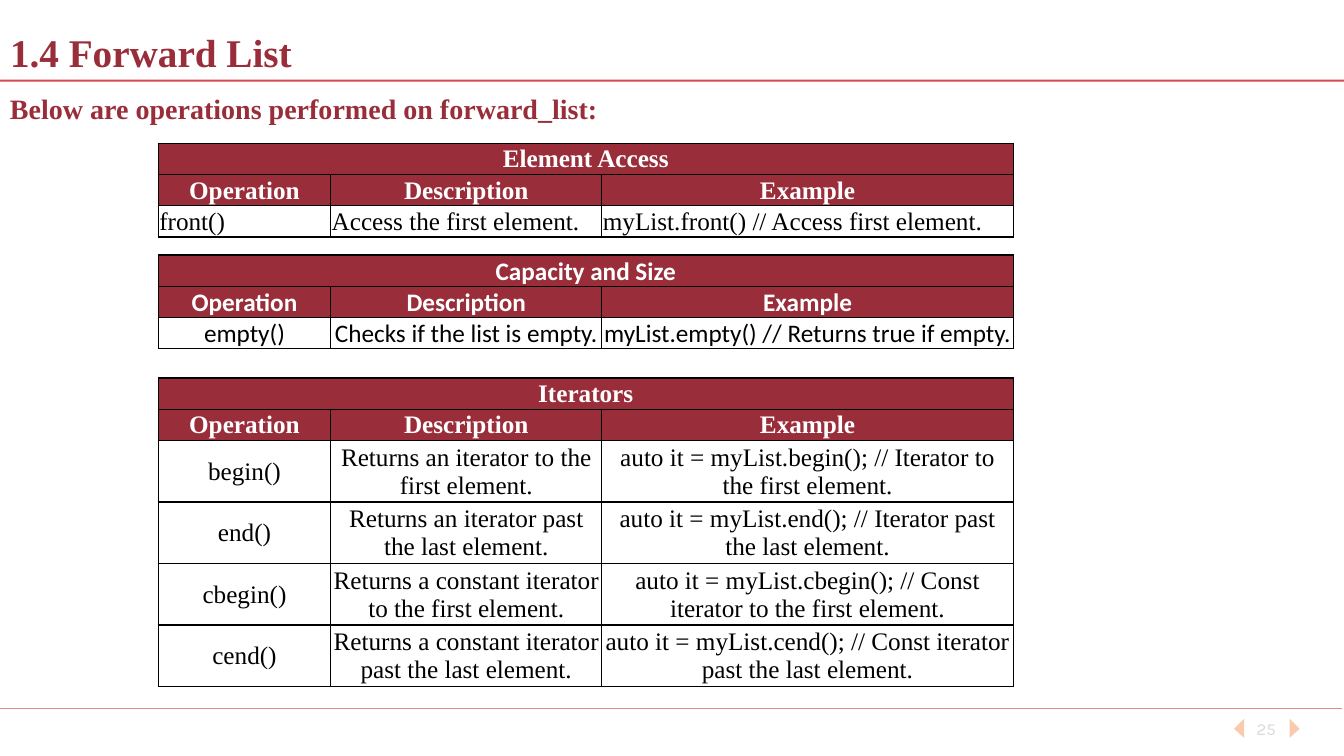
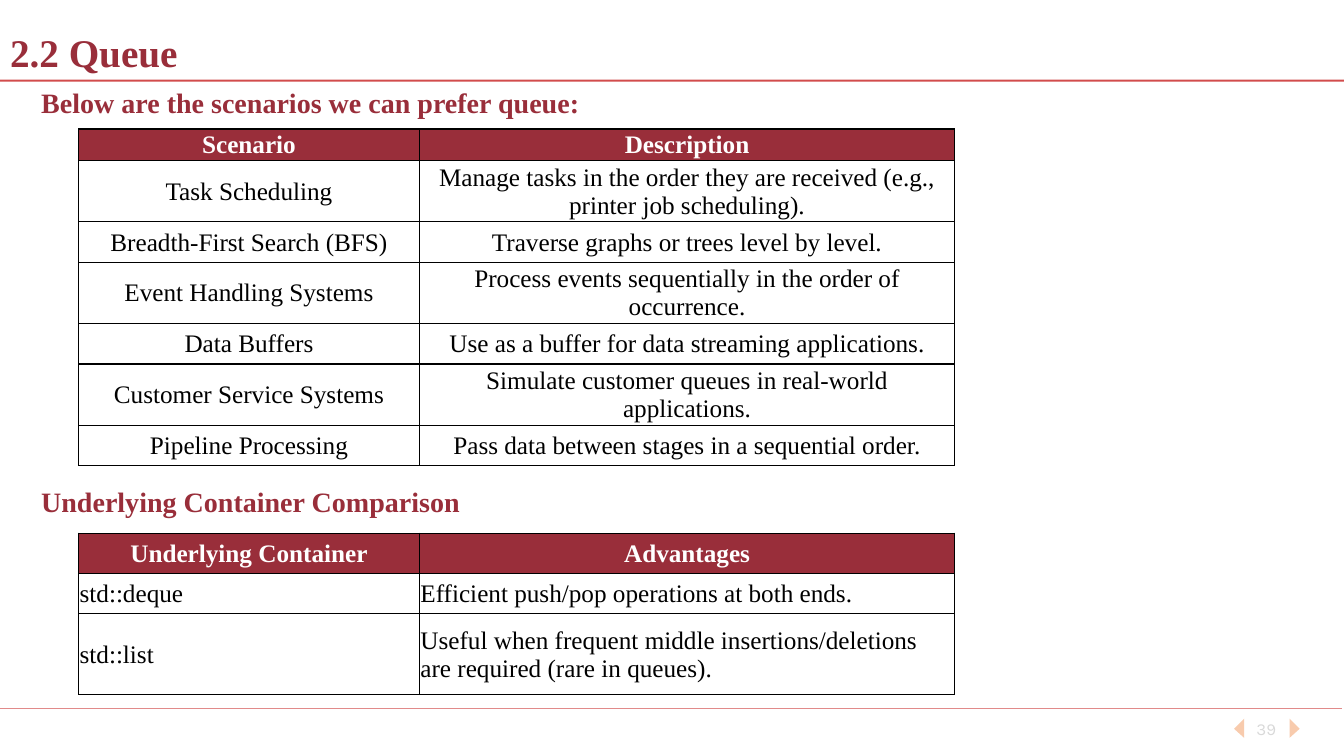
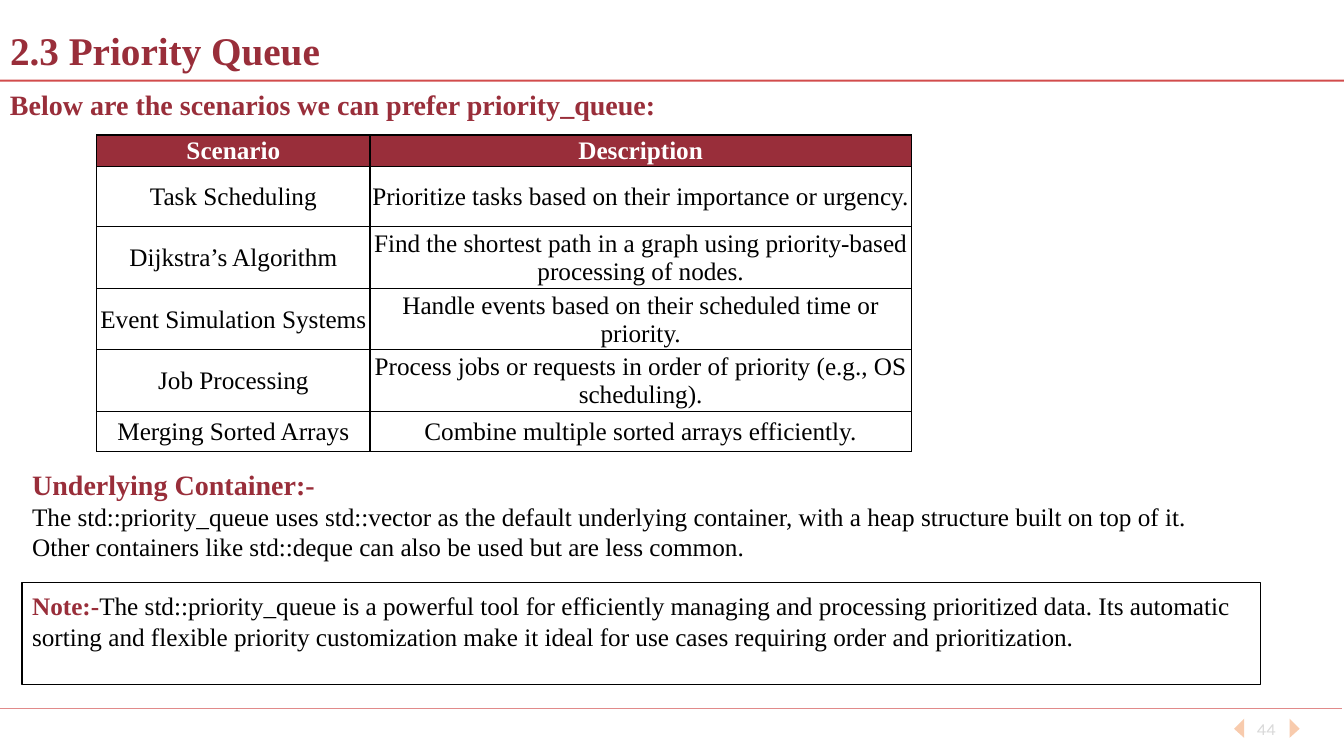
"""Build three slides on forward lists, queues and priority queues."""
from lxml.etree import SubElement
from pptx import Presentation
from pptx.dml.color import RGBColor
from pptx.enum.shapes import MSO_CONNECTOR, MSO_SHAPE
from pptx.enum.text import MSO_ANCHOR, MSO_AUTO_SIZE, PP_ALIGN
from pptx.oxml import parse_xml
from pptx.oxml.ns import nsdecls, qn
from pptx.util import Inches, Pt

COLORS = {
    "brand": "992E3A",
    "rule": "C00000",
    "arrow": "F8CBAD",
    "number": "D9D9D9",
    "text": "000000",
    "white": "FFFFFF",
}
SERIF = "Times New Roman"
OPERATION_HEADER = ["Operation", "Description", "Example"]
OPERATION_COLUMNS = [1.71, 2.69, 4.08]
QUEUE_COLUMNS = [3.38, 5.31]
RULES = [(0.8, 13.33, 1.5), (7.03, 13.31, 0.5)]
ARROWS = [(12.34, 12.24), (12.79, 12.89)]

SLIDES = [
    {
        "title": "1.4 Forward List",
        "title_top": 0.22,
        "number": "25",
        "headings": [(0, 0.86, "Below are operations performed on forward_list:")],
        "tables": [
            {
                "at": (1.57, 1.42),
                "columns": OPERATION_COLUMNS,
                "heights": [0.31] * 3,
                "caption": "Element Access",
                "align": PP_ALIGN.LEFT,
                "rows": [
                    OPERATION_HEADER,
                    ["front()", "Access the first element.",
                     "myList.front() // Access first element."],
                ],
            },
            {
                "at": (1.57, 2.53),
                "columns": OPERATION_COLUMNS,
                "heights": [0.31] * 3,
                "caption": "Capacity and Size",
                "font": "Calibri",
                "rows": [
                    OPERATION_HEADER,
                    ["empty()", "Checks if the list is empty.",
                     "myList.empty() // Returns true if empty."],
                ],
            },
            {
                "at": (1.57, 3.75),
                "columns": OPERATION_COLUMNS,
                "heights": [0.31] * 2 + [0.61] * 4,
                "caption": "Iterators",
                "rows": [
                    OPERATION_HEADER,
                    ["begin()", "Returns an iterator to the first element.",
                     "auto it = myList.begin(); // Iterator to the first element."],
                    ["end()", "Returns an iterator past the last element.",
                     "auto it = myList.end(); // Iterator past the last element."],
                    ["cbegin()", "Returns a constant iterator to the first element.",
                     "auto it = myList.cbegin(); // Const iterator to the first element."],
                    ["cend()", "Returns a constant iterator past the last element.",
                     "auto it = myList.cend(); // Const iterator past the last element."],
                ],
            },
        ],
    },
    {
        "title": "2.2 Queue",
        "title_top": 0.22,
        "number": "39",
        "headings": [
            (0.31, 0.8, "Below are the scenarios we can prefer queue:"),
            (0.31, 4.76, "Underlying Container Comparison"),
        ],
        "tables": [
            {
                "at": (0.78, 1.28),
                "columns": QUEUE_COLUMNS,
                "heights": [0.31] + [0.61, 0.4] * 3,
                "rows": [
                    ["Scenario", "Description"],
                    ["Task Scheduling",
                     "Manage tasks in the order they are received (e.g., printer job scheduling)."],
                    ["Breadth-First Search (BFS)", "Traverse graphs or trees level by level."],
                    ["Event Handling Systems",
                     "Process events sequentially in the order of occurrence."],
                    ["Data Buffers", "Use as a buffer for data streaming applications."],
                    ["Customer Service Systems",
                     "Simulate customer queues in real-world applications."],
                    ["Pipeline Processing", "Pass data between stages in a sequential order."],
                ],
            },
            {
                "at": (0.78, 5.29),
                "columns": QUEUE_COLUMNS,
                "heights": [0.4, 0.4, 0.8],
                "align": PP_ALIGN.LEFT,
                "rows": [
                    ["Underlying Container", "Advantages"],
                    ["std::deque", "Efficient push/pop operations at both ends."],
                    ["std::list",
                     "Useful when frequent middle insertions/deletions are required (rare in queues)."],
                ],
            },
        ],
    },
    {
        "title": "2.3 Priority Queue",
        "title_top": 0.2,
        "number": "44",
        "headings": [(0, 0.82, "Below are the scenarios we can prefer priority_queue:")],
        "tables": [
            {
                "at": (0.96, 1.34),
                "columns": [2.71, 5.37],
                "heights": [0.29] + [0.6] * 4 + [0.4],
                "rows": [
                    ["Scenario", "Description"],
                    ["Task Scheduling", "Prioritize tasks based on their importance or urgency."],
                    ["Dijkstra’s Algorithm",
                     "Find the shortest path in a graph using priority-based processing of nodes."],
                    ["Event Simulation Systems",
                     "Handle events based on their scheduled time or priority."],
                    ["Job Processing",
                     "Process jobs or requests in order of priority (e.g., OS scheduling)."],
                    ["Merging Sorted Arrays", "Combine multiple sorted arrays efficiently."],
                ],
            },
        ],
    },
]


def style(paragraph, size, color, bold=False, font=SERIF, align=PP_ALIGN.LEFT):
    paragraph.alignment = align
    for run in paragraph.runs:
        run.font.size = Pt(size)
        run.font.name = font
        run.font.bold = bold
        run.font.color.rgb = RGBColor.from_string(COLORS[color])


def add_text(slide, left, top, width, height, text):
    shape = slide.shapes.add_textbox(Inches(left), Inches(top), Inches(width), Inches(height))
    shape.text_frame.word_wrap = True
    shape.text_frame.text = text
    return shape.text_frame


presentation = Presentation()
presentation.slide_width = Inches(13.33)
presentation.slide_height = Inches(7.5)

for content in SLIDES:
    slide = presentation.slides.add_slide(presentation.slide_layouts[5])

    for top, right, weight in RULES:
        rule = slide.shapes.add_connector(
            MSO_CONNECTOR.STRAIGHT, Inches(0), Inches(top), Inches(right), Inches(top))
        rule.line.color.rgb = RGBColor.from_string(COLORS["rule"])
        rule.line.width = Pt(weight)
        color_element = rule.line._ln.find(".//" + qn("a:srgbClr"))
        SubElement(color_element, qn("a:alpha")).set("val", "70000")
        SubElement(rule._element.spPr, qn("a:effectLst"))

    for base, tip in ARROWS:
        builder = slide.shapes.build_freeform(Inches(base), Inches(7.13))
        builder.add_line_segments(
            [(Inches(tip), Inches(7.23)), (Inches(base), Inches(7.32))], close=True)
        arrow = builder.convert_to_shape()
        arrow.shadow.inherit = False
        arrow.fill.solid()
        arrow.fill.fore_color.rgb = RGBColor.from_string(COLORS["arrow"])
        arrow.line.fill.background()

    number_frame = add_text(slide, 12.28, 7.03, 0.56, 0.4, content["number"])
    number_frame.vertical_anchor = MSO_ANCHOR.MIDDLE
    style(number_frame.paragraphs[0], 12, "number", font="Karla", align=PP_ALIGN.CENTER)

    title = slide.shapes.title
    title.left, title.top = Inches(0), Inches(content["title_top"])
    title.width, title.height = Inches(12.18), Inches(0.59)
    title.text_frame.text = content["title"]
    title.text_frame.auto_size = MSO_AUTO_SIZE.NONE
    title.text_frame.vertical_anchor = MSO_ANCHOR.MIDDLE
    style(title.text_frame.paragraphs[0], 28, "brand", bold=True)

    for left, top, text in content["headings"]:
        heading_frame = add_text(slide, left, top, 8.92, 0.44, text)
        style(heading_frame.paragraphs[0], 20, "brand", bold=True)

    for data in content["tables"]:
        columns, heights, rows = data["columns"], data["heights"], data["rows"]
        header_count = 1
        if "caption" in data:
            rows = [[data["caption"]] + [""] * (len(columns) - 1)] + rows
            header_count = 2
        left, top = data["at"]
        table = slide.shapes.add_table(
            len(rows), len(columns), Inches(left), Inches(top),
            Inches(sum(columns)), Inches(sum(heights))).table
        table.horz_banding = False
        for column, width in zip(table.columns, columns):
            column.width = Inches(width)
        for row_index, texts in enumerate(rows):
            table.rows[row_index].height = Inches(heights[row_index])
            is_header = row_index < header_count
            for column_index, text in enumerate(texts):
                cell = table.cell(row_index, column_index)
                cell.margin_left = cell.margin_right = cell.margin_top = Inches(0.01)
                cell.margin_bottom = 0
                cell.vertical_anchor = MSO_ANCHOR.MIDDLE
                cell.text_frame.text = text
                align = PP_ALIGN.CENTER if is_header else data.get("align", PP_ALIGN.CENTER)
                style(cell.text_frame.paragraphs[0], 18, "white" if is_header else "text",
                      bold=is_header, font=data.get("font", SERIF), align=align)
                properties = cell._tc.get_or_add_tcPr()
                for side in ("lnL", "lnR", "lnT", "lnB"):
                    properties.append(parse_xml(
                        f'<a:{side} {nsdecls("a")} w="{Pt(1)}"><a:solidFill>'
                        f'<a:srgbClr val="{COLORS["text"]}"/></a:solidFill></a:{side}>'))
                if is_header:
                    cell.fill.solid()
                    cell.fill.fore_color.rgb = RGBColor.from_string(COLORS["brand"])
                else:
                    cell.fill.background()
        if "caption" in data:
            table.cell(0, 0).merge(table.cell(0, len(columns) - 1))

container_frame = add_text(slide, 0.22, 4.59, 12.05, 1.05, "Underlying Container:-")
style(container_frame.paragraphs[0], 20, "brand", bold=True)
container_body = container_frame.add_paragraph()
container_body.text = (
    "The std::priority_queue uses std::vector as the default underlying container, with a heap "
    "structure built on top of it. Other containers like std::deque can also be used but are "
    "less common.")
style(container_body, 18, "text")

note = slide.shapes.add_shape(
    MSO_SHAPE.RECTANGLE, Inches(0.22), Inches(5.78), Inches(12.28), Inches(1.01))
note.shadow.inherit = False
note.fill.background()
note.line.color.rgb = RGBColor.from_string(COLORS["text"])
note.line.width = Pt(1)
note.text_frame.word_wrap = True
note.text_frame.vertical_anchor = MSO_ANCHOR.TOP
note.text_frame.margin_top = Inches(0.08)
note_paragraph = note.text_frame.paragraphs[0]
note_paragraph.text = "Note:-"
note_body = note_paragraph.add_run()
note_body.text = (
    "The std::priority_queue is a powerful tool for efficiently managing and processing "
    "prioritized data. Its automatic sorting and flexible priority customization make it ideal "
    "for use cases requiring order and prioritization.")
style(note_paragraph, 18, "text")
note_label = note_paragraph.runs[0]
note_label.font.bold = True
note_label.font.color.rgb = RGBColor.from_string(COLORS["brand"])

presentation.save("out.pptx")
